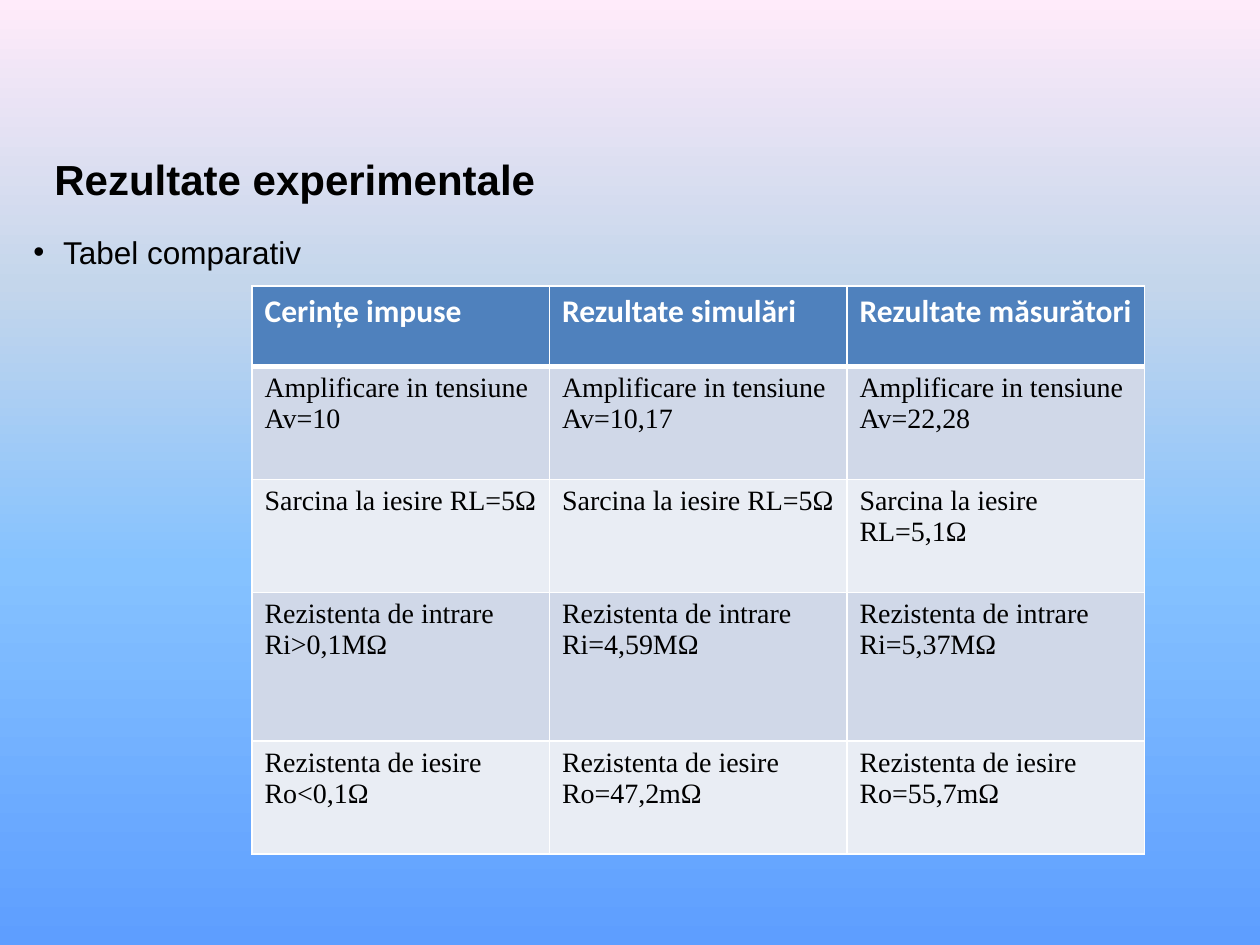
from copy import deepcopy

from lxml import etree
from pptx import Presentation
from pptx.dml.color import RGBColor
from pptx.enum.text import MSO_ANCHOR, PP_ALIGN
from pptx.oxml.ns import qn
from pptx.util import Pt

MIDDLE = MSO_ANCHOR.MIDDLE
JUSTIFY = PP_ALIGN.JUSTIFY
COLORS = {
    "text": "000000", "white": "FFFFFF", "head": "4F81BD",
    "odd": "D0D8E8", "even": "E9EDF4",
}
SKY = [(0, "5E9EFF"), (0.4, "85C2FF"), (0.7, "C4D6EB"), (1, "FFEBFA")]
HEIGHTS = [46, 64.5, 64.5, 85, 64.5]
ROWS = [
    ["Cerințe impuse", "Rezultate simulări", "Rezultate măsurători"],
    ["Amplificare in tensiune Av=" + value for value in ("10", "10,17", "22,28")],
    ["Sarcina la iesire RL=" + value for value in ("5Ω", "5Ω", "5,1Ω")],
    ["Rezistenta de intrare Ri" + value for value in (">0,1MΩ", "=4,59MΩ", "=5,37MΩ")],
    ["Rezistenta de iesire Ro" + value for value in ("<0,1Ω", "=47,2mΩ", "=55,7mΩ")],
]


def style(font, name, size, color, bold=False):
    """Set the look of a font."""
    font.name, font.size, font.bold = name, Pt(size), bold
    font.color.rgb = RGBColor.from_string(COLORS[color])


def paint_sky(slide):
    """Fill the background with a gradient that rises from the bottom."""
    fill = slide.background.fill
    fill.gradient()
    fill.gradient_angle = 90
    stops = next(slide.element.iter(qn("a:gsLst")))
    while len(stops) < len(SKY):
        stops.append(deepcopy(stops[0]))
    for stop, (place, color) in zip(fill.gradient_stops, SKY):
        stop.position = place
        stop.color.rgb = RGBColor.from_string(color)


def add_line(slide, box, text, size, bold=False):
    """Add a one-line text box and return its paragraph."""
    frame = slide.shapes.add_textbox(*map(Pt, box)).text_frame
    frame.word_wrap = True
    frame.vertical_anchor = MIDDLE
    frame.text = text
    line = frame.paragraphs[0]
    style(line.runs[0].font, "Arial", size, "text", bold)
    return line


def add_bullet(slide, box, text):
    """Add a justified line with a hanging bullet."""
    line = add_line(slide, box, text, 18)
    line.alignment = JUSTIFY
    props = line._p.get_or_add_pPr()
    props.set("marL", str(Pt(17)))
    props.set("indent", str(-Pt(17)))
    etree.SubElement(props, qn("a:buFont"), typeface="Arial")
    etree.SubElement(props, qn("a:buChar"), char="•")


def add_edge(cell, side, width):
    """Draw one white border of a cell."""
    props = cell._tc.get_or_add_tcPr()
    edge = etree.SubElement(props, qn("a:ln" + side), w=str(Pt(width)))
    fill = etree.SubElement(edge, qn("a:solidFill"))
    etree.SubElement(fill, qn("a:srgbClr"), val=COLORS["white"])


def add_grid(slide, box):
    """Add the table that compares demands, simulations and measurements."""
    shape = slide.shapes.add_table(len(ROWS), len(ROWS[0]), *map(Pt, box))
    table = shape.table
    table.horz_banding = False
    for column in table.columns:
        column.width = Pt(box[2] / len(ROWS[0]))
    for i, texts in enumerate(ROWS):
        table.rows[i].height = Pt(HEIGHTS[i])
        shade = "head" if i == 0 else "odd" if i % 2 else "even"
        for j, text in enumerate(texts):
            cell = table.cell(i, j)
            for side in "LRTB":
                thick = (i, side) in ((0, "B"), (1, "T"))
                add_edge(cell, side, 3 if thick else 1)
            cell.fill.solid()
            cell.fill.fore_color.rgb = RGBColor.from_string(COLORS[shade])
            cell.text_frame.text = text
            font = cell.text_frame.paragraphs[0].runs[0].font
            if i == 0:
                style(font, "Calibri", 18, "white", True)
            else:
                style(font, "Times New Roman", 16, "text")


def main():
    """Build the slide and save it."""
    deck = Presentation()
    deck.slide_width, deck.slide_height = Pt(720), Pt(540)
    slide = deck.slides.add_slide(deck.slide_layouts[6])
    paint_sky(slide)
    add_line(slide, (24, 84, 612, 36), "Rezultate experimentale", 24, True)
    add_bullet(slide, (12, 126, 672, 36), "Tabel comparativ")
    add_grid(slide, (144, 163.5, 510, sum(HEIGHTS)))
    deck.save("out.pptx")


if __name__ == "__main__":
    main()
